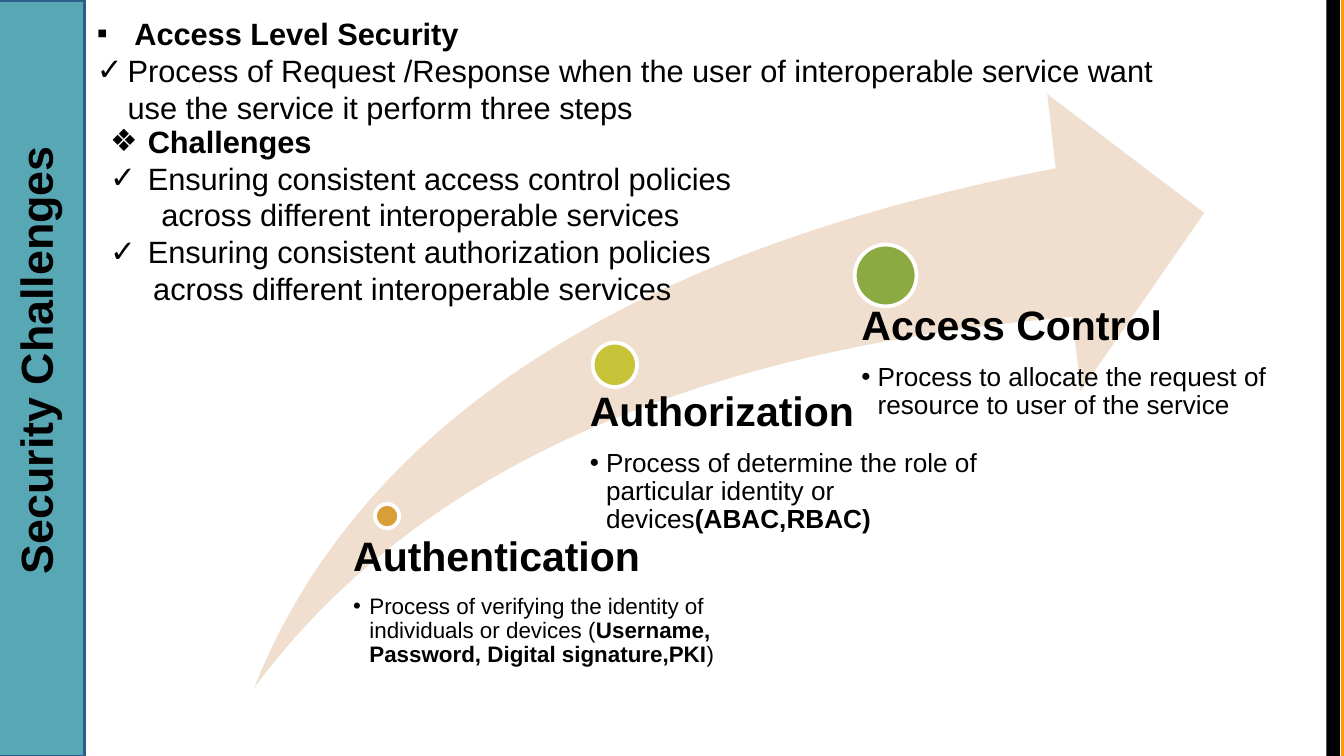
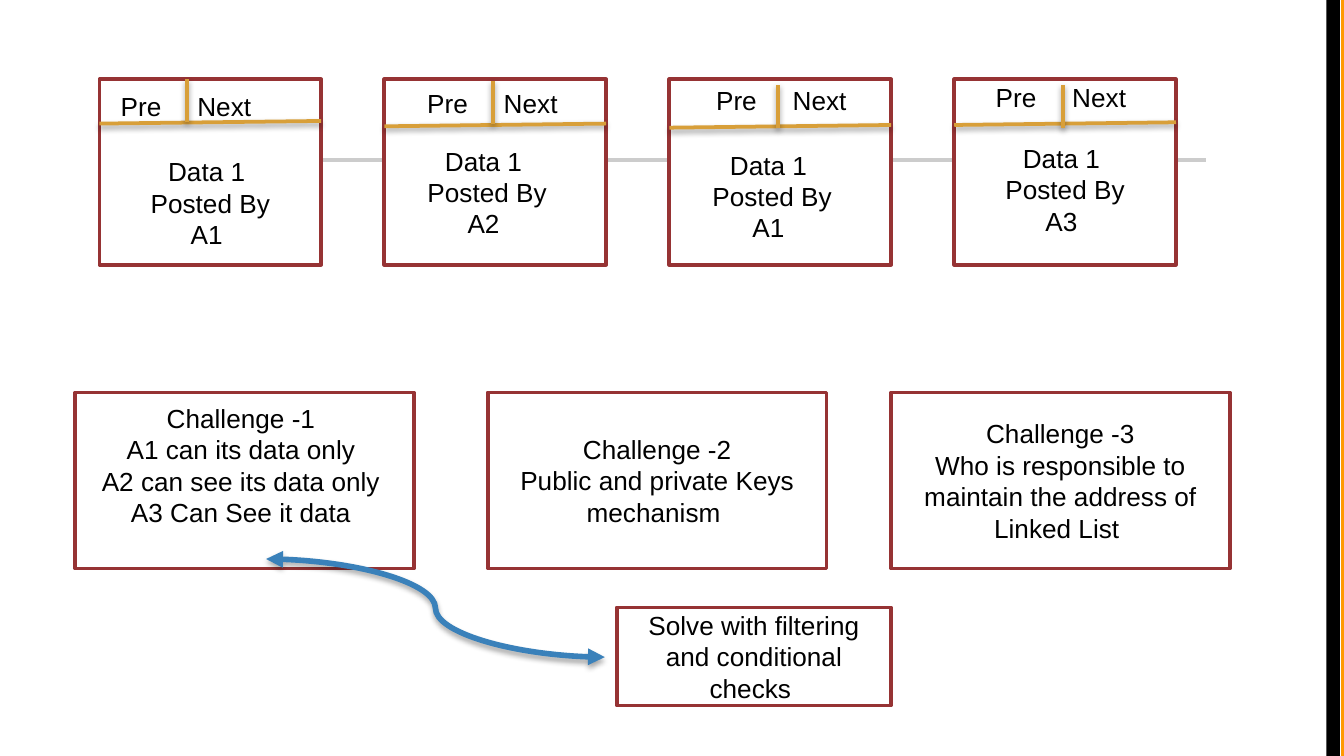
from lxml import etree
from pptx import Presentation
from pptx.dml.color import RGBColor
from pptx.enum.shapes import MSO_CONNECTOR as Connector, MSO_SHAPE as Shape
from pptx.enum.text import MSO_ANCHOR as Anchor, MSO_AUTO_SIZE as AutoSize, PP_ALIGN as Align
from pptx.oxml.ns import qn
from pptx.util import Inches, Pt

BLACK = RGBColor(0x00, 0x00, 0x00)
WHITE = RGBColor(0xFF, 0xFF, 0xFF)
ORANGE = RGBColor(0xFF, 0x99, 0x00)
TEAL = RGBColor(0x57, 0xA7, 0xB5)
NAVY = RGBColor(0x2B, 0x5F, 0x8A)
SAND = RGBColor(0xF0, 0xDF, 0xCE)
GOLD = RGBColor(0xD8, 0x9F, 0x39)
LIME = RGBColor(0xC7, 0xC3, 0x38)
GREEN = RGBColor(0x8B, 0xAB, 0x42)
MAROON = RGBColor(0x96, 0x33, 0x34)
GREY = RGBColor(0xCC, 0xCC, 0xCC)
BLUE = RGBColor(0x3A, 0x81, 0xBA)
FONT = "Arial"
SLIDE_WIDTH = 10
SLIDE_HEIGHT = SLIDE_WIDTH * 9 / 16

ACCESS_LIST = [
    ("▪", 0.28, "Access Level Security", True),
    ("✓", 0.23, "Process of Request /Response when the user of interoperable "
     "service want use the service it perform three steps", False),
]
CHALLENGE_LIST = [
    ("❖", 0.28, "Challenges", True),
    ("✓", 0.28, "Ensuring consistent access control policies", False),
    (None, 0.38, "across different interoperable services", False),
    ("✓", 0.28, "Ensuring consistent authorization policies", False),
    (None, 0.32, "across different interoperable services", False),
]
STEPS = [
    ("Authentication", (2.79, 3.75, 0.18), GOLD, (2.53, 3.99, 3.52, 0.75), 0.1, 12,
     [("Process of verifying the identity of individuals or devices (", False),
      ("Username, Password, Digital signature,PKI", True), (")", False)]),
    ("Authorization", (4.41, 2.55, 0.33), LIME, (4.21, 2.91, 3.36, 1.12), 0.18, 14,
     [("Process of determine the role of particular identity or devices", False),
      ("(ABAC,RBAC)", True)]),
    ("Access Control", (6.36, 1.82, 0.46), GREEN, (6.17, 2.27, 3.54, 0.31), 0.24, 14,
     [("Process to allocate the request of resource to user of the service", False)]),
]
BLOCKS = [
    ("A1 ", 0.92, (1.39, 0.59), (0.8, 0.62), (0.74, 1.11)),
    ("A2 ", 0.94, (3.67, 0.6), (3.08, 0.6), (2.8, 1.03)),
    ("A1 ", 0.95, (5.79, 0.63), (5.23, 0.58), (4.92, 1.06)),
    ("A3 ", 0.93, (7.91, 0.63), (7.31, 0.56), (7.1, 1.01)),
]
CHALLENGES = [
    (0.56, 0.28, ["Challenge -1 ", "A1 can its data only ",
                  "A2 can see its data only ", "A3 Can See it data "]),
    (3.63, 0.05, ["Challenge -2", "Public and private Keys mechanism "]),
    (6.63, 0.05, ["Challenge -3",
                  "Who is responsible to maintain the address of Linked List "]),
]


def inches(values):
    return [Inches(value) for value in values]


def add_run(paragraph, text, size, bold=False):
    run = paragraph.add_run()
    run.text = text
    run.font.name = FONT
    run.font.size = Pt(size)
    run.font.bold = bold
    run.font.color.rgb = BLACK


def next_paragraph(frame, index):
    return frame.paragraphs[0] if index == 0 else frame.add_paragraph()


def write_centred(frame, lines, size, bold=False):
    frame.word_wrap = True
    for index, line in enumerate(lines):
        paragraph = next_paragraph(frame, index)
        paragraph.alignment = Align.CENTER
        add_run(paragraph, line, size, bold)


def set_bullet(paragraph, mark, indent):
    properties = paragraph._p.get_or_add_pPr()
    properties.set("marL", str(Inches(indent)))
    properties.set("indent", str(-Inches(indent) if mark else 0))
    if mark:
        colour = etree.SubElement(properties, qn("a:buClr"))
        etree.SubElement(colour, qn("a:srgbClr"), val=str(BLACK))
        etree.SubElement(properties, qn("a:buFont"), typeface=FONT)
        etree.SubElement(properties, qn("a:buChar"), char=mark)
    else:
        etree.SubElement(properties, qn("a:buNone"))


def add_figure(slide, kind, area, fill, line=None):
    figure = slide.shapes.add_shape(kind, *inches(area))
    figure.shadow.inherit = False
    figure.fill.solid()
    figure.fill.fore_color.rgb = fill
    if line:
        figure.line.color.rgb = line
        figure.line.width = Pt(2)
    else:
        figure.line.fill.background()
    return figure


def add_textbox(slide, area):
    frame = slide.shapes.add_textbox(*inches(area)).text_frame
    frame.word_wrap = True
    return frame


def add_line(slide, start, end, colour, width, kind=Connector.STRAIGHT, shadow=None):
    line = slide.shapes.add_connector(kind, *inches(start + end))
    line.line.color.rgb = colour
    line.line.width = Pt(width)
    effects = etree.SubElement(line._element.spPr, qn("a:effectLst"))
    if shadow:
        opacity, distance = shadow
        outer = etree.SubElement(effects, qn("a:outerShdw"), blurRad=str(Pt(3.1)),
                                 dist=str(Pt(distance)), dir="5400000", rotWithShape="0")
        shade = etree.SubElement(outer, qn("a:srgbClr"), val=str(BLACK))
        etree.SubElement(shade, qn("a:alpha"), val=str(opacity * 1000))
    return line


def add_edge_bands(slide):
    for left, colour in ((9.98, ORANGE), (9.87, BLACK)):
        add_figure(slide, Shape.RECTANGLE, (left, 0, 0.1, SLIDE_HEIGHT), colour)


def place(slide, holder, area):
    holder.left, holder.top, holder.width, holder.height = inches(area)
    slide.shapes._spTree.append(holder._element)
    frame = holder.text_frame
    frame.auto_size = AutoSize.NONE
    frame.vertical_anchor = Anchor.TOP
    return frame


def fill_list(slide, holder, area, items):
    frame = place(slide, holder, area)
    for index, (mark, indent, text, bold) in enumerate(items):
        paragraph = next_paragraph(frame, index)
        set_bullet(paragraph, mark, indent)
        paragraph.space_before = Pt(0)
        add_run(paragraph, text, 16.5, bold)


def add_side_title(slide, text):
    band = add_figure(slide, Shape.RECTANGLE, (-2.51, 2.49, 5.63, 0.65), TEAL, NAVY)
    band.rotation = 270
    title = slide.shapes.title
    frame = place(slide, title, (-1.78, 2.13, 4.59, 1.01))
    title.rotation = 270
    write_centred(frame, [text], 24, True)


def add_swoosh(slide):
    swoosh = add_figure(slide, Shape.SWOOSH_ARROW, (1.89, 0.7, 7.07, 4.42), SAND)
    swoosh.adjustments[0] = 0.25
    swoosh.adjustments[1] = 0.25


def add_step(slide, heading, dot, colour, area, inset, size, runs):
    left, top, diameter = dot
    add_figure(slide, Shape.OVAL, (left, top, diameter, diameter), colour, WHITE)
    frame = add_textbox(slide, area)
    frame.margin_left = Inches(inset)
    frame.margin_top = frame.margin_right = frame.margin_bottom = 0
    title = frame.paragraphs[0]
    title.space_after = Pt(7.7)
    add_run(title, heading, 22, True)
    detail = frame.add_paragraph()
    detail.level = 1
    set_bullet(detail, "•", 0.12)
    for text, bold in runs:
        add_run(detail, text, size, bold)
    for paragraph in frame.paragraphs:
        paragraph.line_spacing = 0.9


def add_card(slide, area, lines=(), bottom=0.05):
    card = add_figure(slide, Shape.RECTANGLE, area, WHITE, MAROON)
    frame = card.text_frame
    frame.vertical_anchor = Anchor.MIDDLE
    frame.margin_bottom = Inches(bottom)
    write_centred(frame, lines, 14)


def add_block(slide, left, author, rule_top, split, label_at, body_at):
    add_card(slide, (left, 0.59, 1.65, 1.38))
    x, y = split
    for start, end in (((left, rule_top), (left + 1.65, rule_top - 0.02)),
                       ((x, y + 0.32), (x, y))):
        add_line(slide, start, end, GOLD, 2, shadow=(38, 1.6))
    label = add_textbox(slide, label_at + (1.24, 0.34)).paragraphs[0]
    tabs = etree.SubElement(label._p.get_or_add_pPr(), qn("a:tabLst"))
    etree.SubElement(tabs, qn("a:tab"), pos=str(Inches(0.57)), algn="l")
    add_run(label, "Pre\tNext", 14)
    body = add_textbox(slide, body_at + (1.65, 0.81))
    write_centred(body, ["Data 1 ", "Posted By", author], 14)


def build_access_slide(deck):
    slide = deck.slides.add_slide(deck.slide_layouts[3])
    add_edge_bands(slide)
    add_swoosh(slide)
    for step in STEPS:
        add_step(slide, *step)
    fill_list(slide, slide.placeholders[1], (0.62, 0.06, 8.41, 0.93), ACCESS_LIST)
    fill_list(slide, slide.placeholders[2], (0.72, 0.86, 8.07, 1.77), CHALLENGE_LIST)
    add_side_title(slide, "Security Challenges ")


def build_chain_slide(deck):
    slide = deck.slides.add_slide(deck.slide_layouts[6])
    add_edge_bands(slide)
    add_line(slide, (1.2, 1.19), (8.97, 1.19), GREY, 2.25)
    for index, block in enumerate(BLOCKS):
        add_block(slide, 0.74 + 2.12 * index, *block)
    for left, bottom, lines in CHALLENGES:
        add_card(slide, (left, 2.92, 2.52, 1.31), lines, bottom)
    solution_link = add_line(slide, (1.98, 4.16), (4.5, 4.89), BLUE, 3,
                             Connector.CURVE, (35, 1.8))
    outline = solution_link.line._get_or_add_ln()
    for end in ("a:headEnd", "a:tailEnd"):
        etree.SubElement(outline, qn(end), type="triangle")
    add_card(slide, (4.59, 4.52, 2.04, 0.73),
             ["Solve with filtering and conditional checks "])


def main():
    deck = Presentation()
    deck.slide_width, deck.slide_height = inches((SLIDE_WIDTH, SLIDE_HEIGHT))
    build_access_slide(deck)
    build_chain_slide(deck)
    deck.save("out.pptx")


if __name__ == "__main__":
    main()
